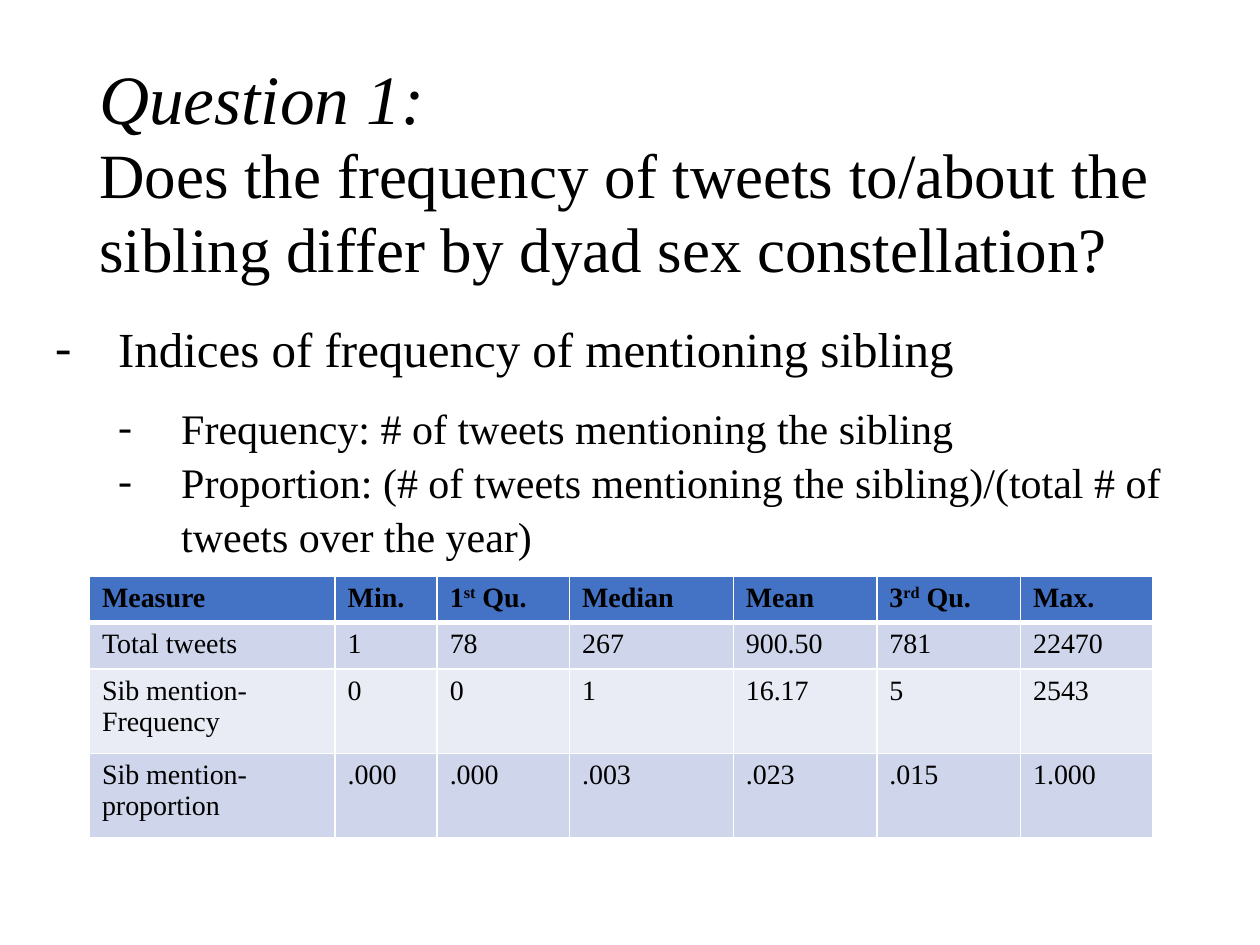
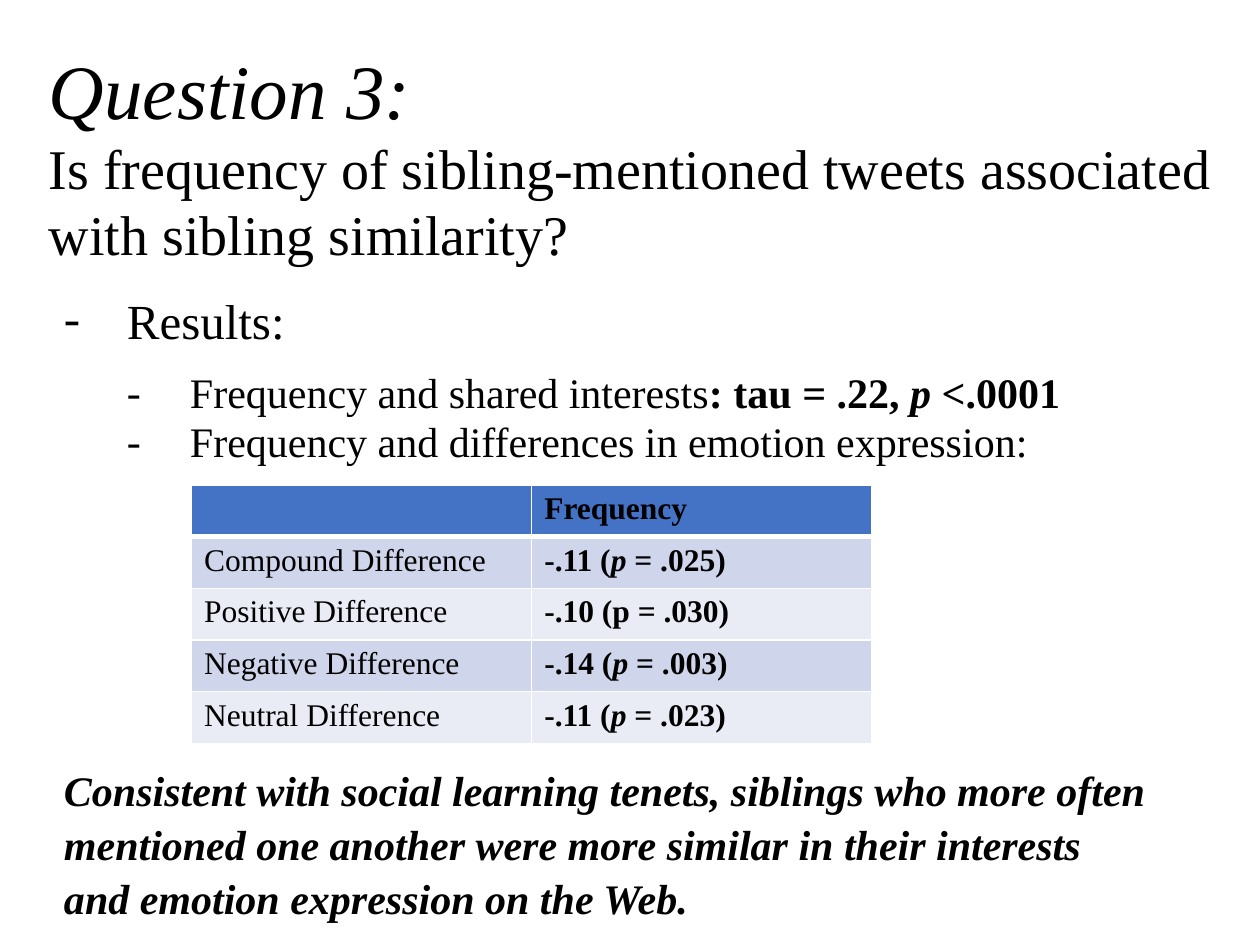
from dataclasses import dataclass

from lxml.etree import SubElement
from pptx import Presentation
from pptx.dml.color import RGBColor
from pptx.enum.text import MSO_ANCHOR as Anchor
from pptx.oxml.ns import qn
from pptx.util import Pt

PX = 9144  # 100 px to the inch


@dataclass(frozen=True)
class Theme:
    font: str = "Times New Roman"
    ink: str = "000000"
    rule: str = "FFFFFF"
    header: str = "4472C4"
    bands: tuple = ("CFD5EA", "E9EBF5")
    lead_size: int = 28
    text_size: int = 24
    title_spacing: float = 0.97
    tight_spacing: float = 0.97
    text_spacing: float = 1.07
    indent: int = 50


def span(text, **style):
    """Text with its format: size, bold, italic, raised."""
    return text, style


def spans_of(content):
    return [span(content)] if isinstance(content, str) else content


class Deck:
    def __init__(self, theme, width, height):
        self.theme = theme
        self.file = Presentation()
        self.file.slide_width, self.file.slide_height = width * PX, height * PX
        self.page = None

    def add_page(self):
        self.page = self.file.slides.add_slide(self.file.slide_layouts[6])

    def add_text(self, para, content, size, bold=False, italic=False):
        for text, style in spans_of(content):
            run = para.add_run()
            run.text = text
            font = run.font
            font.name = self.theme.font
            font.size = Pt(style.get("size", size))
            font.bold = style.get("bold", bold)
            font.italic = style.get("italic", italic)
            font.color.rgb = RGBColor.from_string(self.theme.ink)
            if style.get("raised"):
                run._r.get_or_add_rPr().set("baseline", "30000")

    def add_box(self, place, anchor=Anchor.TOP):
        box = self.page.shapes.add_textbox(*(n * PX for n in place))
        box.text_frame.word_wrap = True
        box.text_frame.vertical_anchor = anchor
        return box.text_frame

    def add_title(self, place, label, question, label_size, size):
        para = self.add_box(place, Anchor.MIDDLE).paragraphs[0]
        para.line_spacing = self.theme.title_spacing
        self.add_text(para, label, label_size, italic=True)
        para.add_line_break()
        self.add_text(para, question, size)

    def add_note(self, place, text):
        para = self.add_box(place).paragraphs[0]
        para.line_spacing = self.theme.text_spacing
        para.space_after = Pt(12)
        self.add_text(para, text, self.theme.text_size, bold=True, italic=True)

    def add_bullets(self, place, lead, items, item_spacing):
        frame = self.add_box(place)
        para = frame.paragraphs[0]
        para.space_before, para.space_after = Pt(10), Pt(12)
        para.line_spacing = self.theme.text_spacing
        self.dash(para, 0)
        self.add_text(para, lead, self.theme.lead_size)
        for item in items:
            para = frame.add_paragraph()
            para.line_spacing = item_spacing
            self.dash(para, 1)
            self.add_text(para, item, self.theme.text_size)

    def dash(self, para, level):
        para.level = level
        indent = self.theme.indent * PX
        props = para._p.get_or_add_pPr()
        props.set("marL", str(indent * (level + 1)))
        props.set("indent", str(-indent))
        SubElement(props, qn("a:buFont"), typeface=self.theme.font)
        SubElement(props, qn("a:buChar"), char="-")

    def add_table(self, left, top, widths, heights, rows, size, bold_values=False):
        shape = self.page.shapes.add_table(
            len(rows), len(widths), left * PX, top * PX,
            sum(widths) * PX, sum(heights) * PX)
        table = shape.table
        for column, width in zip(table.columns, widths):
            column.width = width * PX
        for r, (row, height) in enumerate(zip(rows, heights)):
            table.rows[r].height = height * PX
            fill = self.theme.bands[(r - 1) % 2] if r else self.theme.header
            for c, content in enumerate(row):
                cell = table.cell(r, c)
                self.rule_cell(cell, top=3 if r == 1 else 1, bottom=1 if r else 3)
                cell.fill.solid()
                cell.fill.fore_color.rgb = RGBColor.from_string(fill)
                if content:
                    bold = r == 0 or (bold_values and c > 0)
                    self.add_text(cell.text_frame.paragraphs[0], content, size, bold)

    def rule_cell(self, cell, top, bottom):
        props = cell._tc.get_or_add_tcPr()
        for side, width in (("L", 1), ("R", 1), ("T", top), ("B", bottom)):
            line = SubElement(props, qn(f"a:ln{side}"), w=str(Pt(width)))
            paint = SubElement(line, qn("a:solidFill"))
            SubElement(paint, qn("a:srgbClr"), val=self.theme.rule)


def quartile(number, ending):
    return [span(number), span(ending, raised=True), span(" Qu.")]


def correlation(tau, p_value):
    return [span(f"{tau} ("), span("p ", italic=True), span(f"= {p_value})")]


def add_frequency_page(deck):
    deck.add_page()
    deck.add_bullets(
        (34, 245, 917, 476), "Indices of frequency of mentioning sibling",
        ["Frequency: # of tweets mentioning the sibling",
         "Proportion: (# of tweets mentioning the sibling)/"
         "(total # of tweets over the year)"],
        deck.theme.text_spacing)
    # Summary of each measure
    deck.add_table(
        71, 457, [195, 81, 105, 130, 114, 114, 105], [37, 37, 67, 67],
        [["Measure", "Min.", quartile("1", "st"), "Median", "Mean",
          quartile("3", "rd"), "Max."],
         ["Total tweets", "1", "78", "267", "900.50", "781", "22470"],
         ["Sib mention- Frequency", "0", "0", "1", "16.17", "5", "2543"],
         ["Sib mention-proportion", ".000", ".000", ".003", ".023", ".015",
          "1.000"]],
        size=16)
    deck.add_title(
        (69, 40, 917, 195), "Question 1: ",
        "Does the frequency of tweets to/about the sibling differ by dyad "
        "sex constellation?", label_size=39.6, size=36)


def add_similarity_page(deck):
    deck.add_page()
    deck.add_title(
        (29, 28, 957, 195), "Question 3: ",
        "Is frequency of sibling-mentioned tweets associated with sibling "
        "similarity?", label_size=44, size=32)
    deck.add_bullets(
        (41, 222, 944, 476), "Results:",
        [[span("Frequency and shared interests"),
          span(": tau = .22, ", bold=True),
          span("p", bold=True, italic=True),
          span(" <.0001", bold=True)],
         "Frequency and differences in emotion expression:"],
        deck.theme.tight_spacing)
    # Correlations with emotion differences
    deck.add_table(
        152, 385, [270] * 2, [41] * 5,
        [["", "Frequency"],
         ["Compound Difference", correlation("-.11", ".025")],
         ["Positive Difference", "-.10 (p = .030)"],
         ["Negative Difference", correlation("-.14", ".003")],
         ["Neutral Difference", correlation("-.11", ".023")]],
        size=18, bold_values=True)
    # Conclusion
    deck.add_note(
        (41, 599, 886, 131),
        "Consistent with social learning tenets, siblings who more often "
        "mentioned one another were more similar in their interests and "
        "emotion expression on the Web.")


def main():
    deck = Deck(Theme(), 1000, 750)
    add_frequency_page(deck)
    add_similarity_page(deck)
    deck.file.save("out.pptx")


if __name__ == "__main__":
    main()
